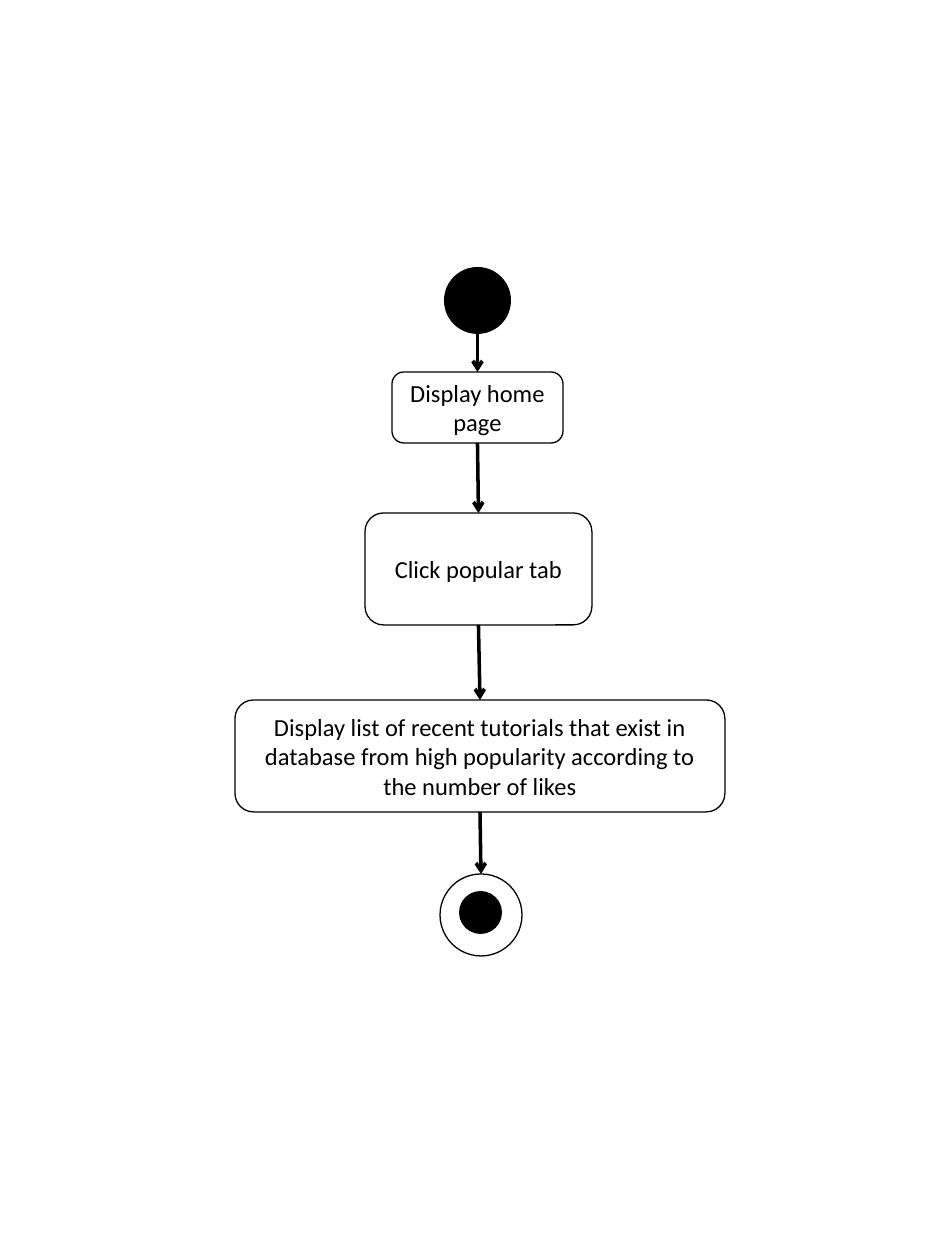
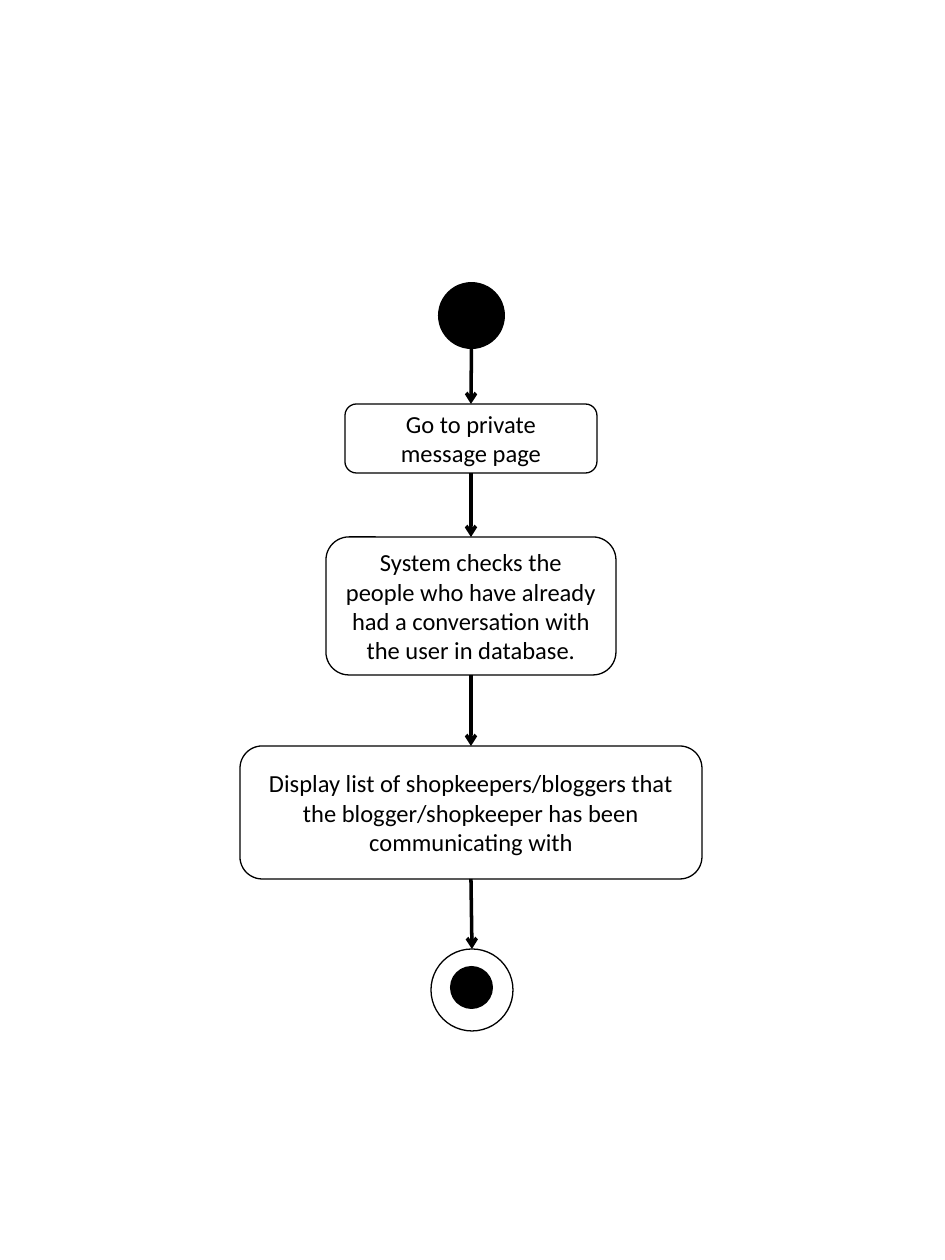
"""Two activity diagrams: a start dot, three steps and an end ring each."""
import dataclasses
import typing

import lxml.etree
import pptx
import pptx.dml.color
import pptx.enum.dml
import pptx.enum.shapes
import pptx.enum.text
import pptx.oxml.ns
import pptx.shapes.autoshape
import pptx.shapes.connector
import pptx.slide
import pptx.util

SCALE = 914400 // 126  # EMU per pixel
WIDTH, HEIGHT = 945, 1260
BLANK = 6

KIND = pptx.enum.shapes.MSO_SHAPE
Shape = pptx.shapes.autoshape.Shape
Slide = pptx.slide.Slide
Color = pptx.dml.color.RGBColor


@dataclasses.dataclass(frozen=True)
class Theme:
    """Colours, type and line sizes."""
    ink: Color = Color(0, 0, 0)
    paper: Color = Color(255, 255, 255)
    font: str = "Calibri"
    size: float = 14
    edge: float = 0.75
    arrow: float = 2


@dataclasses.dataclass(frozen=True)
class Box:
    """A frame in pixels."""
    left: int
    top: int
    width: int
    height: int


@dataclasses.dataclass(frozen=True)
class Step:
    """One action of a flow."""
    text: str
    box: Box


@dataclasses.dataclass(frozen=True)
class Flow:
    """One diagram: where it starts, its steps, where it ends."""
    start: tuple[int, int]
    steps: tuple[Step, ...]
    end: tuple[int, int]


THEME = Theme()
DOT, RING, CORE = 67, 82, 43  # circle widths
CORE_X, CORE_Y = 19, 17  # core offset inside the ring

FLOWS = (
    Flow(
        start=(444, 267),
        steps=(
            Step("Display home page", Box(392, 372, 171, 71)),
            Step("Click popular tab", Box(365, 513, 227, 112)),
            Step("Display list of recent tutorials that exist in database from "
                 "high popularity according to the number of likes",
                 Box(235, 700, 490, 112)),
        ),
        end=(440, 874),
    ),
    Flow(
        start=(438, 282),
        steps=(
            Step("Go to private message page", Box(345, 404, 252, 69)),
            Step("System checks the people who have already had a "
                 "conversation with the user in database.",
                 Box(326, 537, 290, 138)),
            Step("Display list of shopkeepers/bloggers that the "
                 "blogger/shopkeeper has been communicating with",
                 Box(240, 746, 462, 133)),
        ),
        end=(431, 949),
    ),
)


def px(count: int) -> pptx.util.Emu:
    """Turn pixels into EMU."""
    return pptx.util.Emu(count * SCALE)


def add_form(slide: Slide, kind: KIND, box: Box, fill: Color,
             edge: typing.Optional[Color] = None) -> Shape:
    """Add a flat preset shape, with an outline if edge is given."""
    form = slide.shapes.add_shape(kind, px(box.left), px(box.top),
                                  px(box.width), px(box.height))
    form.shadow.inherit = False
    form.fill.solid()
    form.fill.fore_color.rgb = fill
    if edge is None:
        form.line.fill.background()
    else:
        form.line.color.rgb = edge
        form.line.width = pptx.util.Pt(THEME.edge)
    return form


def add_disc(slide: Slide, spot: tuple[int, int], width: int, fill: Color,
             edge: typing.Optional[Color] = None) -> Shape:
    """Add a circle by its top left corner."""
    return add_form(slide, KIND.OVAL, Box(*spot, width, width), fill, edge)


def add_step(slide: Slide, step: Step) -> Shape:
    """Add a rounded box with centred text."""
    form = add_form(slide, KIND.ROUNDED_RECTANGLE, step.box,
                    THEME.paper, THEME.ink)
    frame = form.text_frame
    frame.text = step.text
    frame.word_wrap = True
    frame.vertical_anchor = pptx.enum.text.MSO_ANCHOR.MIDDLE
    line = frame.paragraphs[0]
    line.alignment = pptx.enum.text.PP_ALIGN.CENTER
    font = line.runs[0].font
    font.name = THEME.font
    font.size = pptx.util.Pt(THEME.size)
    font.color.rgb = THEME.ink
    return form


def add_end(slide: Slide, spot: tuple[int, int]) -> Shape:
    """Add the end ring with its core, and return the ring."""
    ring = add_disc(slide, spot, RING, THEME.paper, THEME.ink)
    left, top = spot
    add_disc(slide, (left + CORE_X, top + CORE_Y), CORE, THEME.ink)
    return ring


def add_arrow(slide: Slide, above: Shape, below: Shape) -> None:
    """Join the bottom of one shape to the top of the next."""
    arrow = slide.shapes.add_connector(
        pptx.enum.shapes.MSO_CONNECTOR.STRAIGHT,
        above.left + above.width // 2, above.top + above.height,
        below.left + below.width // 2, below.top)
    if above.auto_shape_type == KIND.ROUNDED_RECTANGLE:
        arrow.begin_connect(above, 2)
    arrow.end_connect(below, 0)
    arrow.line.color.rgb = THEME.ink
    arrow.line.width = pptx.util.Pt(THEME.arrow)
    qn = pptx.oxml.ns.qn
    props = arrow.element.find(qn("p:spPr"))
    lxml.etree.SubElement(props.find(qn("a:ln")), qn("a:tailEnd"), type="arrow")
    lxml.etree.SubElement(props, qn("a:effectLst"))


def draw_flow(slide: Slide, flow: Flow) -> None:
    """Draw a whole diagram from start to end."""
    nodes = [add_disc(slide, flow.start, DOT, THEME.ink)]
    nodes += [add_step(slide, step) for step in flow.steps]
    nodes.append(add_end(slide, flow.end))
    for above, below in zip(nodes, nodes[1:]):
        add_arrow(slide, above, below)


def main() -> None:
    """Build and save the deck."""
    deck = pptx.Presentation()
    deck.slide_width, deck.slide_height = px(WIDTH), px(HEIGHT)
    for flow in FLOWS:
        draw_flow(deck.slides.add_slide(deck.slide_layouts[BLANK]), flow)
    deck.save("out.pptx")


main()
